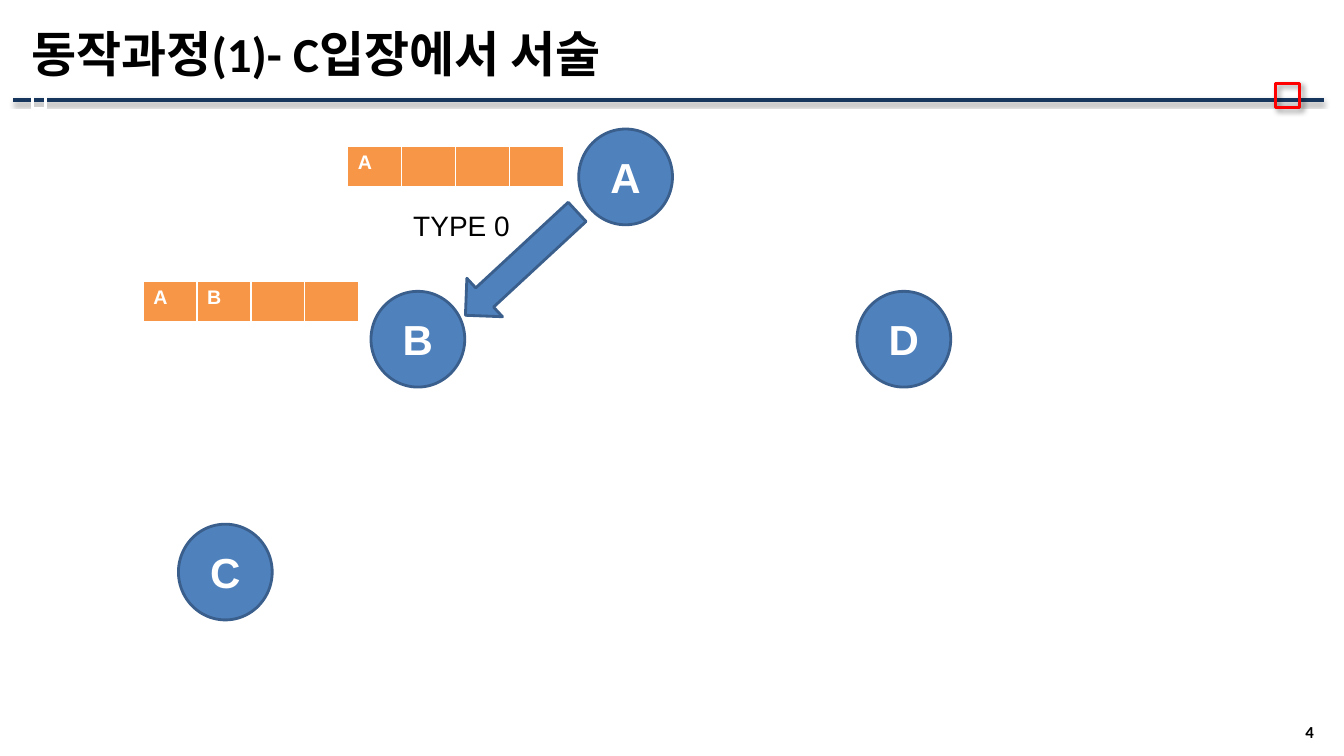
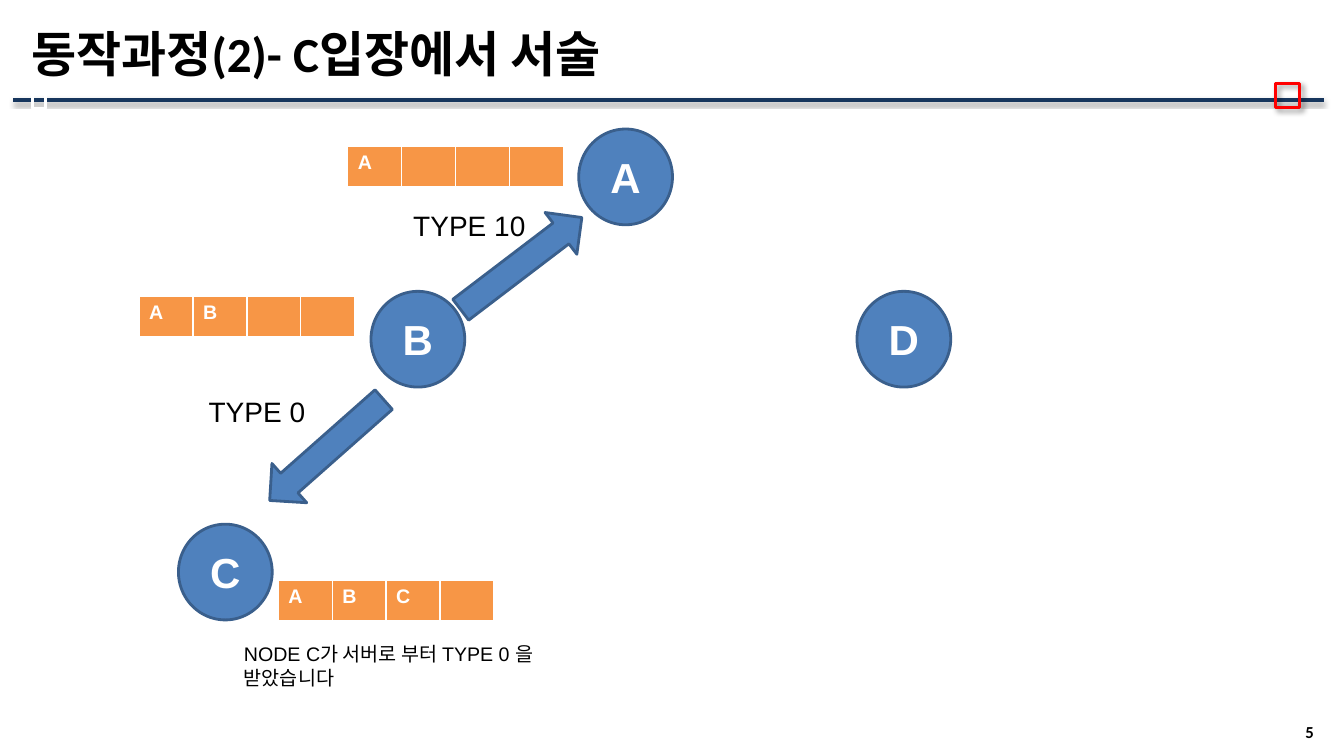
import pptx
import pptx.util
import pptx.dml.color
import pptx.enum.shapes
import pptx.enum.text
import pptx.oxml.ns
import lxml.etree

PX = 9144  # 100 px to the inch
NAVY, RED, WHITE, BLACK = "17365D", "FF0000", "FFFFFF", "000000"
BLUE, EDGE, ORANGE = "4F81BD", "3A5F8C", "F79646"
HEAD, BODY = "Calibri", "Arial"
SHAPE = pptx.enum.shapes.MSO_SHAPE
ALIGN = pptx.enum.text.PP_ALIGN
ANCHOR = pptx.enum.text.MSO_ANCHOR

# Node circles: left and top
NODES = {"A": (574, 128), "C": (177, 520), "B": (368, 289), "D": (850, 289)}
NODE_W, NODE_H = 93, 95
CELLS, CELL_W, CELL_H = 4, 53.5, 41
ARROW_W, ARROW_H = 52, 151


def emu(*sizes):
    return [pptx.util.Emu(round(size * PX)) for size in sizes]


def rgb(code):
    return pptx.dml.color.RGBColor.from_string(code)


def add(parent, tag, **attrs):
    return lxml.etree.SubElement(parent, pptx.oxml.ns.qn(tag), attrs)


def style(par, size, color, font=BODY, bold=False, align=None):
    par.font.size = pptx.util.Pt(size)
    par.font.name = font
    par.font.bold = bold
    par.font.color.rgb = rgb(color)
    par.alignment = align


def shade(item, alpha, blur, dist, angle):
    """Give a shape or connector a soft black shadow."""
    effects = add(item.element.spPr, "a:effectLst")
    shadow = add(effects, "a:outerShdw", blurRad=str(round(blur * 12700)),
                 dist=str(round(dist * 12700)), dir=str(angle * 60000),
                 algn="ctr", rotWithShape="0")
    color = add(shadow, "a:srgbClr", val=BLACK)
    add(color, "a:alpha", val=str(alpha * 1000))


def stroke(item, color, width):
    item.line.color.rgb = rgb(color)
    item.line.width = pptx.util.Pt(width)


def shape(slide, kind, box, line, width, fill=None, flat=True):
    item = slide.shapes.add_shape(kind, *emu(*box))
    if fill:
        item.fill.solid()
        item.fill.fore_color.rgb = rgb(fill)
    else:
        item.fill.background()
    stroke(item, line, width)
    if flat:
        item.shadow.inherit = False
    return item


def text(slide, box, words, size, anchor=ANCHOR.TOP, **look):
    frame = slide.shapes.add_textbox(*emu(*box)).text_frame
    frame.word_wrap = True
    frame.vertical_anchor = anchor
    frame.text = words
    style(frame.paragraphs[0], size, BLACK, **look)


def node(slide, name):
    box = (*NODES[name], NODE_W, NODE_H)
    frame = shape(slide, SHAPE.OVAL, box, EDGE, 2, BLUE).text_frame
    frame.vertical_anchor = ANCHOR.MIDDLE
    frame.text = name
    style(frame.paragraphs[0], 30, WHITE, bold=True, align=ALIGN.CENTER)


def arrow(slide, left, top, angle):
    box = (left, top, ARROW_W, ARROW_H)
    shape(slide, SHAPE.DOWN_ARROW, box, EDGE, 2, BLUE).rotation = angle


def label(slide, left, top, words):
    text(slide, (left, top, 159, 44), words, 20)


def border(cell):
    props = cell._tc.get_or_add_tcPr()
    for place, (side, width) in enumerate(zip("LRTB", (1, 1, 1, 3))):
        line = add(props, "a:ln" + side, w=str(width * 12700))
        add(add(line, "a:solidFill"), "a:srgbClr", val=WHITE)
        props.insert(place, line)  # borders go before the fill


def route(slide, left, top, names):
    """Draw a path list: one cell for each node passed, the rest empty."""
    box = emu(left, top, CELLS * CELL_W, CELL_H)
    table = slide.shapes.add_table(1, CELLS, *box).table
    table.horz_banding = table.first_row = False
    for cell, name in zip(table.iter_cells(), names.ljust(CELLS)):
        cell.text = name.strip()
        style(cell.text_frame.paragraphs[0], 14, WHITE, bold=True)
        cell.fill.solid()
        cell.fill.fore_color.rgb = rgb(ORANGE)
        border(cell)


def base(deck, title, page):
    """Start a slide with its rule, title, page number and nodes."""
    slide = deck.slides.add_slide(deck.slide_layouts[6])
    # Rule and its two marks
    rule = slide.shapes.add_connector(
        pptx.enum.shapes.MSO_CONNECTOR.STRAIGHT, *emu(13, 99, 1313, 99))
    stroke(rule, NAVY, 3)
    shade(rule, 35, 3.1, 1.8, 90)
    mark = shape(slide, SHAPE.RECTANGLE, (1265, 83, 24, 24), RED, 2.25,
                 flat=False)
    shade(mark, 40, 4, 3, 45)
    shape(slide, SHAPE.RECTANGLE, (32, 92, 13, 16), WHITE, 2.25)
    # Page number and title
    text(slide, (1218, 714, 95, 24), str(page), 12, ANCHOR.MIDDLE,
         font=HEAD, bold=True, align=ALIGN.RIGHT)
    text(slide, (21, 5, 1292, 95), title, 35, ANCHOR.MIDDLE,
         font=HEAD, bold=True)
    for name in NODES:
        node(slide, name)
    return slide


def main():
    deck = pptx.Presentation()
    deck.slide_width, deck.slide_height = emu(1333, 750)

    # A sends to B
    slide = base(deck, "동작과정(1)- C입장에서 서술", 4)
    arrow(slide, 491, 186, 47.2)
    label(slide, 400, 202, "TYPE 0")
    route(slide, 345, 145, "A")
    route(slide, 142, 279, "AB")

    # B answers A and sends to C
    slide = base(deck, "동작과정(2)- C입장에서 서술", 5)
    arrow(slide, 491, 186, 232.7)
    label(slide, 400, 202, "TYPE 10")
    route(slide, 345, 145, "A")
    route(slide, 138, 294, "AB")
    arrow(slide, 298, 371, 48.5)
    label(slide, 197, 386, "TYPE 0")
    route(slide, 276, 576, "ABC")
    text(slide, (232, 632, 342, 57),
         "NODE C가 서버로 부터 TYPE 0 을 받았습니다", 14)

    deck.save("out.pptx")


if __name__ == "__main__":
    main()
